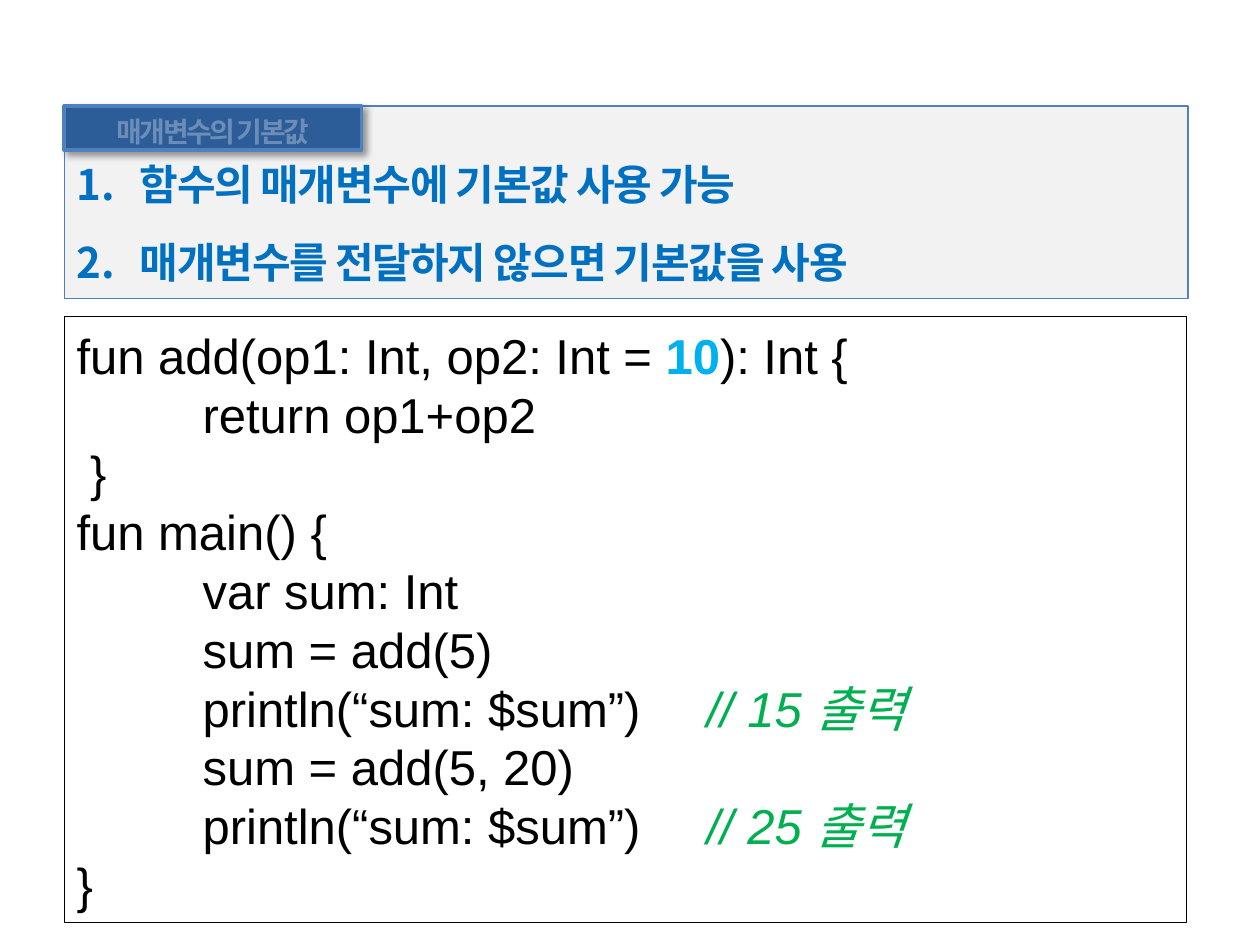
from lxml import etree
from pptx import Presentation
from pptx import util as u
from pptx.dml.color import RGBColor
from pptx.enum import text as t
from pptx.oxml import parse_xml
from pptx.oxml.ns import nsdecls, qn

COLORS = {
    "panel": "F2F2F2", "edge": "4F81BD", "tag": "2C5D98", "point": "0070C0",
    "white": "FFFFFF", "black": "000000", "default": "00B0F0", "comment": "00B050",
}
KOREAN = "Noto Sans CJK KR"


def write(para, text, size, color, font=KOREAN, bold=False, italic=False, tracking=0, alpha=100):
    span = para.add_run()
    span.text = text
    span.font.size = u.Pt(size)
    span.font.name = font
    span.font.bold = bold
    span.font.italic = italic
    span.font.color.rgb = RGBColor.from_string(COLORS[color])
    properties = span.font._element
    properties.set("spc", str(round(tracking * 100)))
    etree.SubElement(properties, qn("a:ea")).set("typeface", KOREAN)
    if alpha < 100:
        shade = properties.find(".//" + qn("a:srgbClr"))
        etree.SubElement(shade, qn("a:alpha")).set("val", str(alpha * 1000))


def frame(box, left, top, width, height, fill, line, weight, anchor):
    box.left, box.top = u.Inches(left), u.Inches(top)
    box.width, box.height = u.Inches(width), u.Inches(height)
    box.fill.solid()
    box.fill.fore_color.rgb = RGBColor.from_string(COLORS[fill])
    box.line.color.rgb = RGBColor.from_string(COLORS[line])
    box.line.width = u.Pt(weight)
    box.text_frame.auto_size = t.MSO_AUTO_SIZE.NONE
    box.text_frame.word_wrap = True
    box.text_frame.vertical_anchor = anchor


deck = Presentation()
deck.slide_width, deck.slide_height = u.Inches(10), u.Inches(7.5)
page = deck.slides.add_slide(deck.slide_layouts[1])

panel = page.placeholders[1]
frame(panel, 0.51, 0.84, 8.92, 1.53, "panel", "edge", 0.75, t.MSO_ANCHOR.TOP)
panel.text_frame.margin_top = u.Inches(0.34)
points = ["함수의 매개변수에 기본값 사용 가능", "매개변수를 전달하지 않으면 기본값을 사용"]
for index, point in enumerate(points):
    para = panel.text_frame.paragraphs[0] if index == 0 else panel.text_frame.add_paragraph()
    para.line_spacing = u.Pt(34.6)
    para.space_before, para.space_after = u.Pt(0), u.Pt(10)
    layout = para._p.get_or_add_pPr()
    layout.set("marL", str(u.Inches(0.5)))
    layout.set("indent", str(-u.Inches(0.5)))
    etree.SubElement(layout, qn("a:buFont")).set("typeface", KOREAN)
    etree.SubElement(layout, qn("a:buAutoNum")).set("type", "arabicPeriod")
    write(para, point, 24, "point", bold=True, tracking=-0.7)

tag = page.shapes.title
frame(tag, 0.51, 0.84, 2.36, 0.35, "tag", "edge", 2, t.MSO_ANCHOR.MIDDLE)
tag.text_frame.margin_top = u.Inches(0.05)
tag.text_frame.margin_bottom = u.Inches(0)
tag.text_frame.word_wrap = False
para = tag.text_frame.paragraphs[0]
para.alignment = t.PP_ALIGN.CENTER
write(para, "매개변수의 기본값", 16, "white", bold=True, tracking=-1.4, alpha=30)
tag._element.spPr.append(parse_xml(
    f'<a:effectLst {nsdecls("a")}><a:outerShdw blurRad="{u.Pt(4)}" dist="{u.Pt(3)}" '
    f'dir="2700000" algn="tl" rotWithShape="0"><a:srgbClr val="{COLORS["black"]}">'
    '<a:alpha val="40000"/></a:srgbClr></a:outerShdw></a:effectLst>'))
panel._element.addnext(tag._element)

code = page.shapes.add_textbox(0, 0, 0, 0)
frame(code, 0.51, 2.51, 8.91, 4.81, "white", "black", 0.75, t.MSO_ANCHOR.MIDDLE)
plain = {"color": "black"}
value = {"color": "default", "bold": True}
comment = {"color": "comment", "italic": True}
code_lines = [
    [("fun add(op1: Int, op2: Int = ", plain), ("10", value), ("): Int {", plain)],
    [("\treturn op1+op2", plain)],
    [(" }", plain)],
    [("fun main() {", plain)],
    [("\tvar sum: Int", plain)],
    [("\tsum = add(5)", plain)],
    [("\tprintln(“sum: $sum”)\t", plain), ("// 15 출력", comment)],
    [("\tsum = add(5, 20)", plain)],
    [("\tprintln(“sum: $sum”)\t", plain), ("// 25 출력", comment)],
    [("}", plain)],
]
for index, code_line in enumerate(code_lines):
    para = code.text_frame.paragraphs[0] if index == 0 else code.text_frame.add_paragraph()
    para.line_spacing = u.Pt(33.6)
    layout = para._p.get_or_add_pPr()
    layout.set("defTabSz", str(u.Inches(1)))
    tabs = etree.SubElement(layout, qn("a:tabLst"))
    for stop in (1, 5):
        etree.SubElement(tabs, qn("a:tab"), pos=str(u.Inches(stop)), algn="l")
    for text, style in code_line:
        write(para, text, 28, font="Arial", **style)

deck.save("out.pptx")
